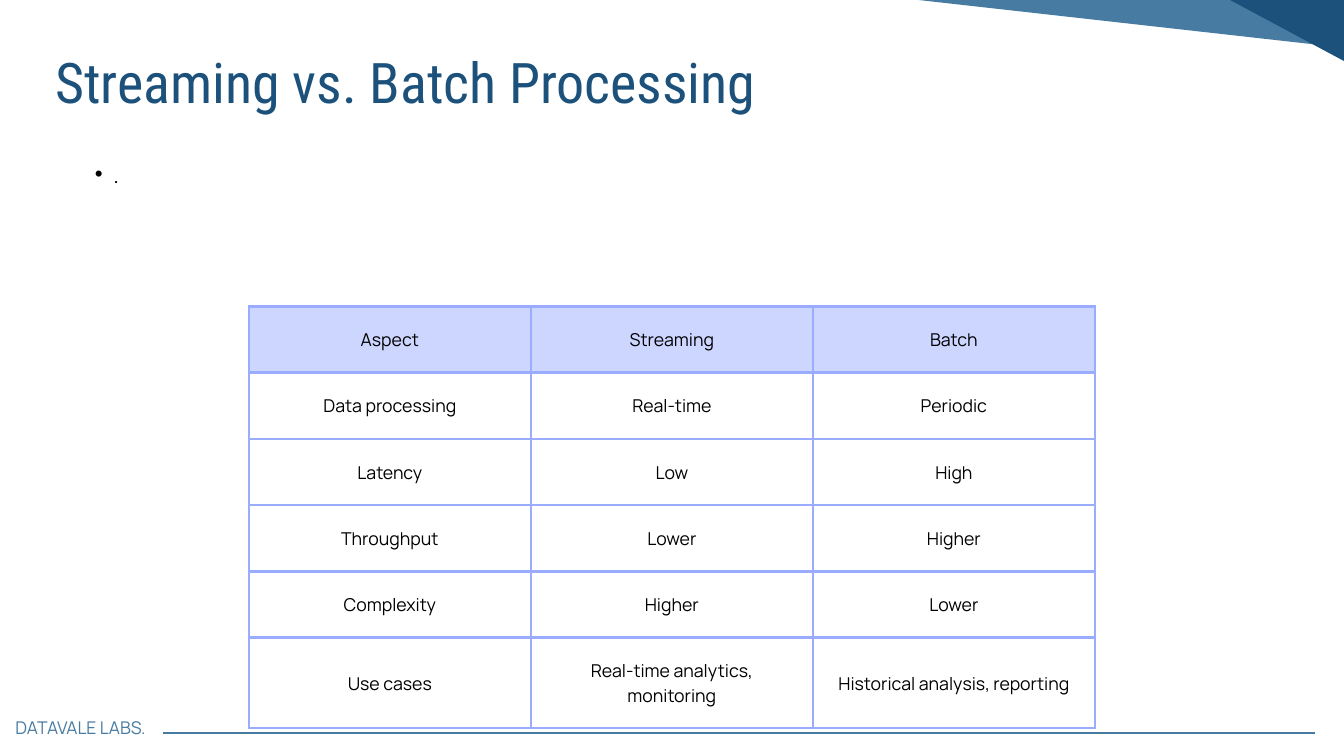
from collections import namedtuple
from dataclasses import dataclass

from lxml import etree
from pptx import Presentation
from pptx.dml.color import RGBColor
from pptx.enum.shapes import MSO_CONNECTOR
from pptx.enum.text import MSO_ANCHOR, MSO_AUTO_SIZE, PP_ALIGN
from pptx.oxml.ns import qn
from pptx.util import Pt

STRAIGHT = MSO_CONNECTOR.STRAIGHT
MIDDLE = MSO_ANCHOR.MIDDLE
GROW = MSO_AUTO_SIZE.SHAPE_TO_FIT_TEXT
CENTER = PP_ALIGN.CENTER

Box = namedtuple("Box", "left top width height")
Style = namedtuple("Style", "font size color leading")


@dataclass(frozen=True)
class Theme:
    navy: str = "1B517B"
    steel: str = "487BA2"
    header_fill: str = "CDD6FF"
    border: str = "99ACFF"
    border_width: float = 3
    rule_width: float = 1.5
    cell_inset: float = 15
    title: Style = Style("Roboto Condensed", 60, "1B517B", 72)
    body: Style = Style("Manrope", 24, "000000", 45.6)
    footer: Style = Style("Manrope", 18.8, "487BA2", 22.6)
    cell: Style = Style("Manrope", 19, "000000", 26.6)


THEME = Theme()
SLIDE = Box(0, 0, 1440, 810)
COMPARISON = [
    ("Aspect", "Streaming", "Batch"),
    ("Data processing", "Real-time", "Periodic"),
    ("Latency", "Low", "High"),
    ("Throughput", "Lower", "Higher"),
    ("Complexity", "Higher", "Lower"),
    ("Use cases", "Real-time analytics, monitoring", "Historical analysis, reporting"),
]
ROW_HEIGHTS = [71] * 5 + [97]


def set_margins(holder, inset):
    for side in ("left", "top", "right", "bottom"):
        setattr(holder, f"margin_{side}", Pt(inset))


def write(paragraph, text, style):
    paragraph.line_spacing = Pt(style.leading)
    run = paragraph.add_run()
    run.text = text
    formats = {"name": style.font, "size": Pt(style.size), "bold": False}
    for key, value in formats.items():
        setattr(run.font, key, value)
    run.font.color.rgb = RGBColor.from_string(style.color)


def add_text(slide, box, text, style):
    frame = slide.shapes.add_textbox(*map(Pt, box)).text_frame
    set_margins(frame, 0)
    frame.word_wrap = True
    frame.auto_size = GROW
    paragraph = frame.paragraphs[0]
    write(paragraph, text, style)
    return paragraph


def add_bullet_line(slide, box, text):
    paragraph = add_text(slide, box, text, THEME.body)
    paragraph.level = 1
    properties = paragraph._p.get_or_add_pPr()
    properties.set("marL", str(Pt(41)))
    properties.set("indent", str(Pt(-20)))
    bullet_font = etree.SubElement(properties, qn("a:buFont"))
    bullet_font.set("typeface", "Arial")
    etree.SubElement(properties, qn("a:buChar")).set("char", "•")


def add_band(slide, corners, color):
    points = [(Pt(x), Pt(y)) for x, y in corners]
    builder = slide.shapes.build_freeform(*points[0], scale=1.0)
    builder.add_line_segments(points[1:], close=True)
    band = builder.convert_to_shape()
    band.shadow.inherit = False
    band.fill.solid()
    band.fill.fore_color.rgb = RGBColor.from_string(color)
    band.line.fill.background()


def add_corner_bands(slide, box):
    """Two slanted bands, measured from the top right corner of the box."""
    right = box.left + box.width
    bands = [
        (THEME.steel, [(10, 9.4), (5.8, 51.8), (-468.7, -1.4), (-463.7, -43.9)]),
        (THEME.navy, [(-128.9, -3.6), (-98.6, -59.8), (34.6, 11.5), (4.3, 67.7)]),
    ]
    for color, offsets in bands:
        add_band(slide, [(right + x, box.top + y) for x, y in offsets], color)


def add_footer(slide, box):
    label_width = 158.4
    add_text(slide, Box(box.left, box.top, label_width, box.height),
             "DATAVALE LABS.", THEME.footer)
    rule_y = Pt(box.top + 17.3)
    rule = slide.shapes.add_connector(
        STRAIGHT, Pt(box.left + label_width), rule_y, Pt(box.left + box.width), rule_y)
    rule.line.color.rgb = RGBColor.from_string(THEME.steel)
    rule.line.width = Pt(THEME.rule_width)
    etree.SubElement(rule._element.spPr, qn("a:effectLst"))


def add_borders(cell):
    properties = cell._tc.get_or_add_tcPr()
    for position, edge in enumerate(("a:lnL", "a:lnR", "a:lnT", "a:lnB")):
        line = etree.Element(qn(edge), w=str(Pt(THEME.border_width)))
        fill = etree.SubElement(line, qn("a:solidFill"))
        etree.SubElement(fill, qn("a:srgbClr"), val=THEME.border)
        properties.insert(position, line)


def add_comparison_table(slide, box):
    columns = len(COMPARISON[0])
    table = slide.shapes.add_table(len(COMPARISON), columns, *map(Pt, box)).table
    table.horz_banding = False
    for column in table.columns:
        column.width = Pt(box.width / columns)
    for r, (values, height) in enumerate(zip(COMPARISON, ROW_HEIGHTS)):
        table.rows[r].height = Pt(height)
        for c, value in enumerate(values):
            cell = table.cell(r, c)
            set_margins(cell, THEME.cell_inset)
            cell.vertical_anchor = MIDDLE
            if r == 0:
                cell.fill.solid()
                cell.fill.fore_color.rgb = RGBColor.from_string(THEME.header_fill)
            else:
                cell.fill.background()
            add_borders(cell)
            paragraph = cell.text_frame.paragraphs[0]
            paragraph.alignment = CENTER
            write(paragraph, value, THEME.cell)


def main():
    deck = Presentation()
    deck.slide_width, deck.slide_height = Pt(SLIDE.width), Pt(SLIDE.height)
    slide = deck.slides.add_slide(deck.slide_layouts[6])
    add_text(slide, Box(59, 51, 1315, 73.5), "Streaming vs. Batch Processing", THEME.title)
    add_bullet_line(slide, Box(80.6, 155.5, 1073.5, 42.5), ".")
    add_corner_bands(slide, SLIDE)
    add_footer(slide, Box(16.6, 768.2, 1391.8, 23.8))
    add_comparison_table(slide, Box(266.6, 328.3, 906.6, sum(ROW_HEIGHTS)))
    deck.save("out.pptx")


if __name__ == "__main__":
    main()
